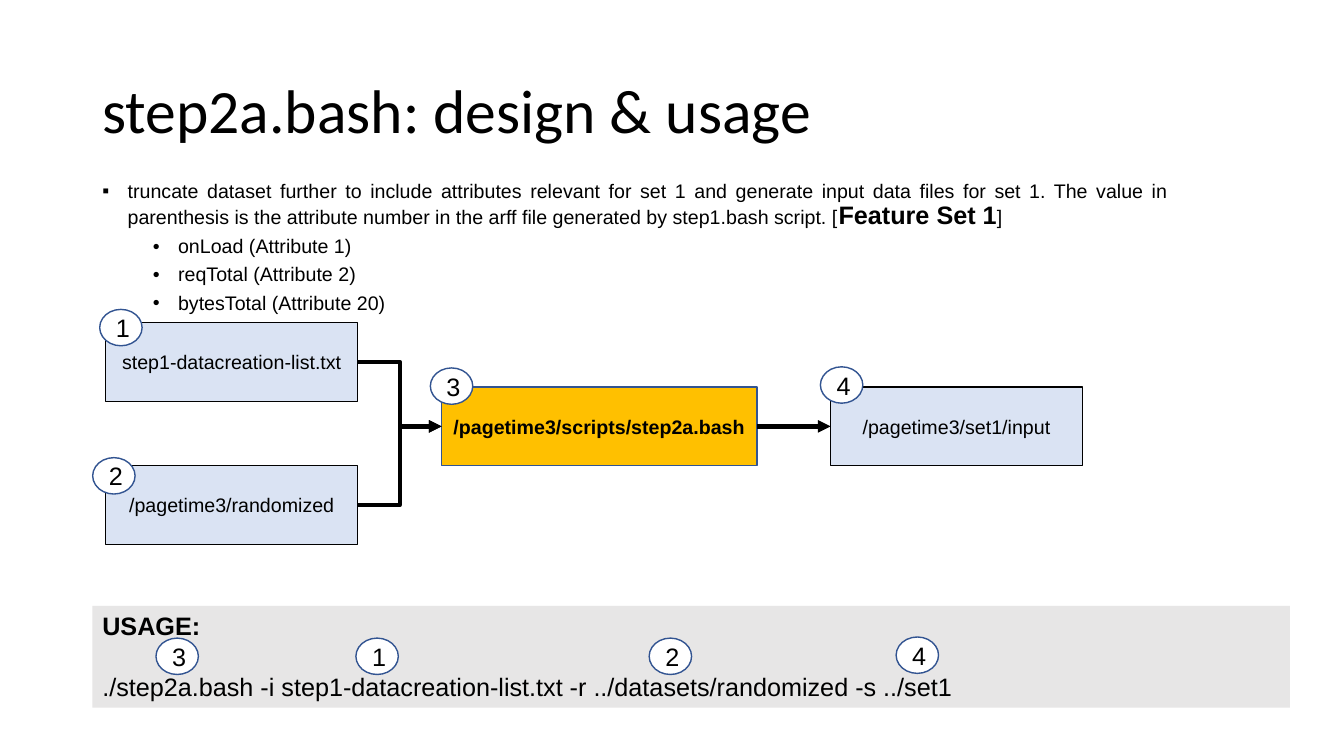
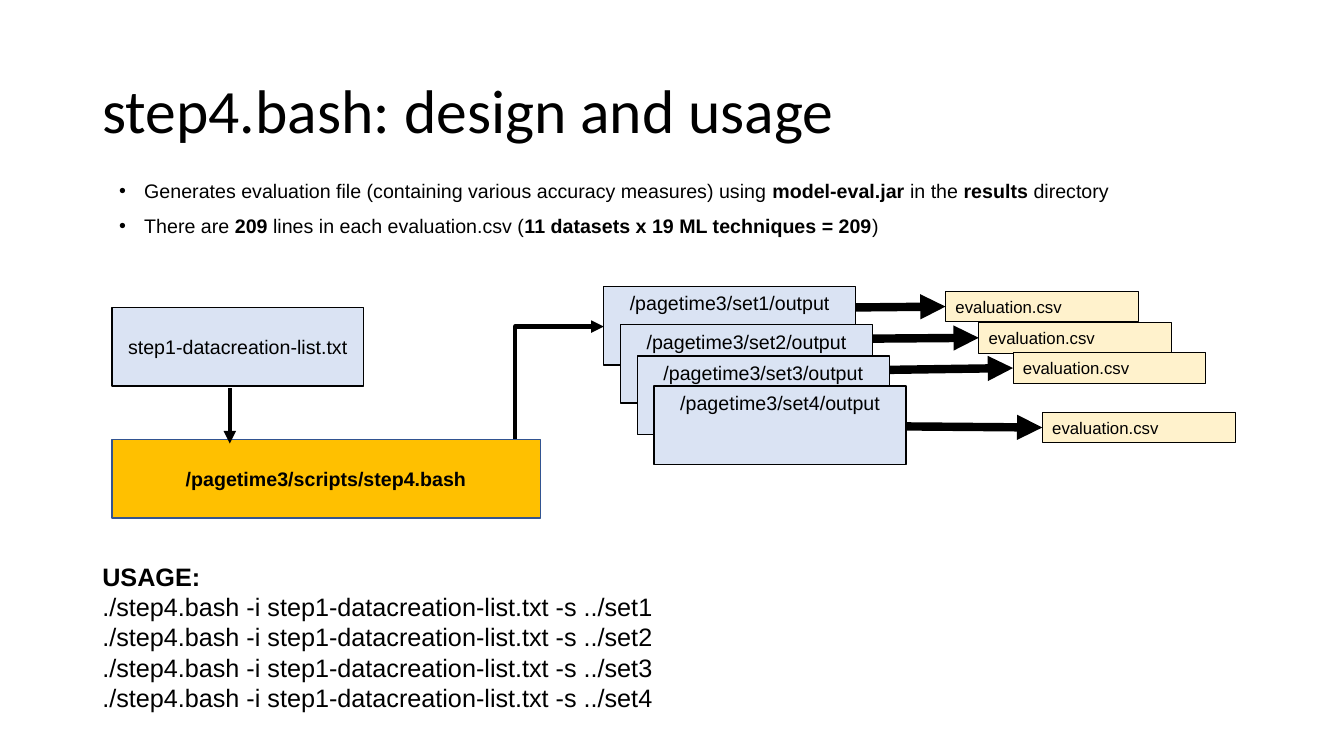
from pptx import Presentation
from pptx.dml.color import RGBColor
from pptx.enum import shapes, text
from pptx.oxml import ns, xmlchemy
from pptx.util import Pt

BLACK = RGBColor(0x00, 0x00, 0x00)
WHITE = RGBColor(0xFF, 0xFF, 0xFF)
GREY = RGBColor(0xE7, 0xE6, 0xE6)
PALE_BLUE = RGBColor(0xDA, 0xE3, 0xF3)
DARK_BLUE = RGBColor(0x32, 0x54, 0x91)
AMBER = RGBColor(0xFF, 0xC0, 0x00)
CREAM = RGBColor(0xFF, 0xF2, 0xCC)

BODY_FONT = "Arial"
TITLE_FONT = "Calibri"
FILE_WIDTH, BOX_HEIGHT = 180, 56.2
BADGE_WIDTH, BADGE_HEIGHT = 30.3, 26
RESULT_WIDTH, RESULT_HEIGHT = 137.8, 21.8

CENTER = text.PP_ALIGN.CENTER
LEFT = text.PP_ALIGN.LEFT
JUSTIFY = text.PP_ALIGN.JUSTIFY
MIDDLE = text.MSO_ANCHOR.MIDDLE
TOP = text.MSO_ANCHOR.TOP


def place(shape, left, top, width, height):
    shape.left, shape.top = Pt(left), Pt(top)
    shape.width, shape.height = Pt(width), Pt(height)


def add_run(paragraph, content, size, bold=False, font=BODY_FONT):
    run = paragraph.add_run()
    run.text = content
    run.font.name = font
    run.font.size = Pt(size)
    run.font.bold = bold
    run.font.color.rgb = BLACK


def next_paragraph(frame, index):
    return frame.add_paragraph() if index else frame.paragraphs[0]


def add_slide(presentation, title):
    slide = presentation.slides.add_slide(presentation.slide_layouts[1])
    shape = slide.shapes.title
    place(shape, 66, 28.8, 828, 104.4)
    frame = shape.text_frame
    frame.auto_size = text.MSO_AUTO_SIZE.NONE
    frame.vertical_anchor = MIDDLE
    paragraph = frame.paragraphs[0]
    paragraph.alignment = LEFT
    paragraph.line_spacing = 0.9
    add_run(paragraph, title, 44, font=TITLE_FONT)
    return slide


def set_bullet(paragraph, character, margin):
    properties = paragraph._p.get_or_add_pPr()
    properties.set("marL", str(Pt(margin)))
    properties.set("indent", str(Pt(-18)))
    font = xmlchemy.OxmlElement("a:buFont")
    font.set("typeface", BODY_FONT)
    bullet = xmlchemy.OxmlElement("a:buChar")
    bullet.set("char", character)
    properties.extend([font, bullet])


def add_bullets(slide, area, items):
    body = slide.placeholders[1]
    place(body, *area)
    frame = body.text_frame
    frame.auto_size = text.MSO_AUTO_SIZE.NONE
    for index, (level, character, alignment, runs) in enumerate(items):
        paragraph = next_paragraph(frame, index)
        paragraph.level = level
        paragraph.alignment = alignment
        paragraph.line_spacing = 0.9
        paragraph.space_before = Pt(5 if level else 10)
        set_bullet(paragraph, character, 18 + 36 * level)
        for run in runs:
            add_run(paragraph, *run)


def add_box(slide, left, top, width, height, content, fill, line=BLACK,
            line_width=1, size=14, bold=False, alignment=CENTER,
            anchor=MIDDLE, outline=shapes.MSO_SHAPE.RECTANGLE):
    box = slide.shapes.add_shape(outline, Pt(left), Pt(top), Pt(width), Pt(height))
    box.shadow.inherit = False
    box.fill.solid()
    box.fill.fore_color.rgb = fill
    box.line.color.rgb = line
    box.line.width = Pt(line_width)
    frame = box.text_frame
    frame.word_wrap = True
    frame.vertical_anchor = anchor
    paragraph = frame.paragraphs[0]
    paragraph.alignment = alignment
    add_run(paragraph, content, size, bold)


def add_file(slide, left, top, name, anchor=MIDDLE):
    add_box(slide, left, top, FILE_WIDTH, BOX_HEIGHT, name, PALE_BLUE, anchor=anchor)


def add_script(slide, left, top, width, name):
    add_box(slide, left, top, width, BOX_HEIGHT, name, AMBER, DARK_BLUE, bold=True)


def add_badge(slide, left, top, number):
    add_box(slide, left, top, BADGE_WIDTH, BADGE_HEIGHT, str(number), WHITE,
            DARK_BLUE, size=18, outline=shapes.MSO_SHAPE.OVAL)


def add_arrow(slide, start, end, width=3, kind=shapes.MSO_CONNECTOR.STRAIGHT):
    arrow = slide.shapes.add_connector(kind, *map(Pt, start + end))
    arrow.line.color.rgb = BLACK
    arrow.line.width = Pt(width)
    properties = arrow._element.spPr
    head = xmlchemy.OxmlElement("a:tailEnd")
    head.set("type", "triangle")
    properties.find(ns.qn("a:ln")).append(head)
    properties.append(xmlchemy.OxmlElement("a:effectLst"))
    return arrow


def add_elbow(slide, start, end):
    return add_arrow(slide, start, end, kind=shapes.MSO_CONNECTOR.ELBOW)


def add_corner(slide, start, end):
    center_x, center_y = (start[0] + end[0]) / 2, (start[1] + end[1]) / 2
    half_run, half_rise = (end[0] - start[0]) / 2, (start[1] - end[1]) / 2
    arrow = add_elbow(slide, (center_x + half_rise, center_y + half_run),
                      (center_x - half_rise, center_y - half_run))
    properties = arrow._element.spPr
    properties.find(ns.qn("a:xfrm")).set("rot", "5400000")
    properties.find(ns.qn("a:prstGeom")).set("prst", "bentConnector2")


def add_usage(slide, top, height, commands, gap=0, fill=None):
    box = slide.shapes.add_textbox(Pt(66), Pt(top), Pt(855.4), Pt(height))
    if fill is not None:
        box.fill.solid()
        box.fill.fore_color.rgb = fill
    frame = box.text_frame
    frame.word_wrap = True
    add_run(frame.paragraphs[0], "USAGE:", 18, True)
    for command in commands:
        paragraph = frame.add_paragraph()
        paragraph.space_before = Pt(gap)
        add_run(paragraph, command, 18)


def build_step2a(presentation):
    slide = add_slide(presentation, "step2a.bash: design & usage")
    summary = ("truncate dataset further to include attributes relevant for set 1 and "
               "generate input data files for set 1. The value in parenthesis is the "
               "attribute number in the arff file generated by step1.bash script. [")
    attributes = ("onLoad (Attribute 1) ", "reqTotal (Attribute 2) ",
                  "bytesTotal (Attribute 20)")
    items = [(0, "▪", JUSTIFY, [(summary, 14), ("Feature Set 1", 18, True), ("]", 14)])]
    items += [(1, "•", LEFT, [(name, 14)]) for name in attributes]
    add_bullets(slide, (66, 126, 776.2, 104.4), items)

    script_left, script_width, output_left, middle = 315.4, 225.4, 593.3, 304.6
    script_top = middle - BOX_HEIGHT / 2
    add_script(slide, script_left, script_top, script_width,
               "/pagetime3/scripts/step2a.bash")
    add_file(slide, output_left, script_top, "/pagetime3/set1/input")
    for top, name in ((230.4, "step1-datacreation-list.txt"),
                      (332.6, "/pagetime3/randomized")):
        add_file(slide, 75.6, top, name)
        add_elbow(slide, (75.6 + FILE_WIDTH, top + BOX_HEIGHT / 2), (script_left, middle))
    add_arrow(slide, (script_left + script_width, middle), (output_left, middle))

    add_usage(slide, 432.7, 72.7, ["./step2a.bash -i step1-datacreation-list.txt "
                                   "-r ../datasets/randomized -s ../set1"], 21.6, GREY)
    for left, top, number in ((71.2, 221, 1), (66.2, 326.9, 2), (307.4, 262.8, 3),
                              (586, 262, 4), (111.4, 455.8, 3), (254.2, 455.8, 1),
                              (463.7, 455.8, 2), (640.1, 455, 4)):
        add_badge(slide, left, top, number)


def build_step4(presentation):
    slide = add_slide(presentation, "step4.bash: design and usage")
    add_bullets(slide, (77.8, 126, 755.3, 59.8), [
        (0, "•", LEFT, [
            ("Generates evaluation file (containing various accuracy measures) using ", 14),
            ("model-eval.jar ", 14, True), ("in the ", 14),
            ("results", 14, True), (" directory ", 14)]),
        (0, "•", LEFT, [
            ("There are ", 14), ("209", 14, True),
            (" lines in each evaluation.csv (", 14),
            ("11 datasets x 19 ML techniques = 209", 14, True), (")", 14)]),
    ])
    add_script(slide, 79.9, 313.9, 306, "/pagetime3/scripts/step4.bash")
    add_file(slide, 79.9, 219.6, "step1-datacreation-list.txt")
    add_arrow(slide, (164.2, 277.2), (164.2, 316.8))

    outputs = ((204.5, 219.6, 675.4, 208.1), (231.8, 241.9, 699.1, 230.4),
               (254.2, 264.2, 723.6, 252), (275.8, 304.6, 744.5, 294.5))
    for index, (top, arrow_top, result_left, result_top) in enumerate(outputs):
        left = 431.3 + 12 * index
        add_file(slide, left, top, f"/pagetime3/set{index + 1}/output", TOP)
        add_arrow(slide, (left + FILE_WIDTH, arrow_top),
                  (result_left, result_top + RESULT_HEIGHT / 2), 6)
        add_box(slide, result_left, result_top, RESULT_WIDTH, RESULT_HEIGHT,
                "evaluation.csv", CREAM, line_width=0.75, size=12,
                alignment=LEFT, anchor=TOP)
    add_corner(slide, (367.9, 313.9), (431.3, 233.3))
    add_usage(slide, 397.4, 116.6,
              [f"./step4.bash -i step1-datacreation-list.txt -s ../set{number}"
               for number in range(1, 5)])


def main():
    presentation = Presentation()
    presentation.slide_width, presentation.slide_height = Pt(960), Pt(540)
    build_step2a(presentation)
    build_step4(presentation)
    presentation.save("out.pptx")


main()
